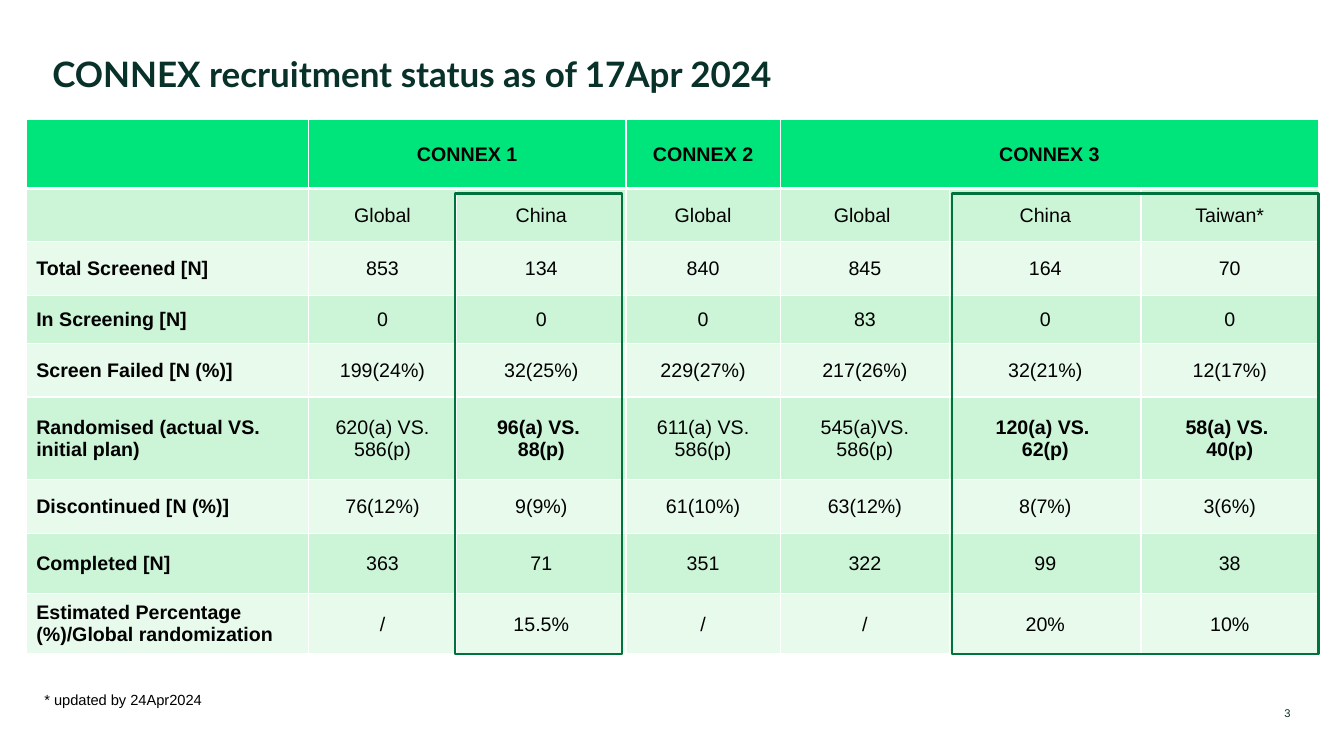
from dataclasses import dataclass
from lxml import etree
from pptx import Presentation
from pptx import util as u
from pptx.dml.color import RGBColor
from pptx.enum import shapes, text
from pptx.oxml.ns import qn


@dataclass(frozen=True)
class Theme:
    ink: str = "08312A"
    black: str = "000000"
    white: str = "FFFFFF"
    header: str = "00E47C"
    band_dark: str = "CCF5D7"
    band_light: str = "E7FAEC"
    outline: str = "00723E"
    title_font: str = "Lato"
    body_font: str = "Arial"
    title_size: float = 25
    table_size: float = 14
    note_size: float = 10.5
    number_size: float = 8


THEME = Theme()
WIDTH, HEIGHT = u.Inches(13.33), u.Inches(7.5)
COLUMNS = [21, 11.03, 12.6, 11.48, 12.6, 14.25, 13.2]
ROWS = [9.2, 7.07, 7.07, 6.4, 7.07, 10.93, 7.07, 8, 8]
STUDIES = [("", 0, 0), ("CONNEX 1", 1, 2), ("CONNEX 2", 3, 3), ("CONNEX 3", 4, 6)]
STATUS = [
    ["", "Global", "China", "Global", "Global ", "China", "Taiwan*"],
    ["Total Screened [N]", "853", "134", "840", "845", "164", "70"],
    ["In Screening [N]", "0", "0", "0", "83", "0", "0"],
    ["Screen Failed [N (%)]", "199(24%)", "32(25%)", "229(27%)", "217(26%)", "32(21%)", "12(17%)"],
    ["Randomised (actual VS. initial plan)", "620(a) VS. 586(p)", "96(a) VS. \n88(p)",
     "611(a) VS. 586(p)", "545(a)VS.\n586(p)", "120(a) VS. \n62(p)", "58(a) VS. \n40(p)"],
    ["Discontinued [N (%)]", "76(12%)", "9(9%)", "61(10%)", "63(12%)", "8(7%)", "3(6%)"],
    ["Completed [N]", "363", "71", "351", "322", "99", "38"],
    ["Estimated Percentage (%)/Global randomization", "/", "15.5%", "/", "/", "20%", "10%"],
]
RANDOMISED_ROW = 5
REGIONAL_COLUMNS = (2, 5, 6)
HIGHLIGHTS = [(2, 2, -0.15, -0.3), (5, 6, 0.2, 0)]


def across(share):
    return round(WIDTH * share / 100)


def down(share):
    return round(HEIGHT * share / 100)


def place(box):
    left, top, width, height = box
    return across(left), down(top), across(width), down(height)


def write(frame, wording, size, color, font=THEME.body_font, bold=False,
          align=text.PP_ALIGN.LEFT, spacing=None):
    for index, line in enumerate(wording.split("\n")):
        paragraph = frame.add_paragraph() if index else frame.paragraphs[0]
        paragraph.alignment = align
        if spacing:
            paragraph.line_spacing = spacing
        run = paragraph.add_run()
        run.text = line
        run.font.size = u.Pt(size)
        run.font.name = font
        run.font.bold = bold
        run.font.color.rgb = RGBColor.from_string(color)


def add_label(slide, box, wording, size, color, anchor=text.MSO_ANCHOR.TOP, wrap=True, **style):
    frame = slide.shapes.add_textbox(*place(box)).text_frame
    frame.margin_left = frame.margin_right = frame.margin_top = frame.margin_bottom = 0
    frame.vertical_anchor = anchor
    frame.word_wrap = wrap
    write(frame, wording, size, color, **style)


def set_borders(cell, top, bottom):
    properties = cell._tc.get_or_add_tcPr()
    for side, points in (("L", 1), ("R", 1), ("T", top), ("B", bottom)):
        border = etree.SubElement(properties, qn(f"a:ln{side}"), w=str(u.Pt(points)))
        fill = etree.SubElement(border, qn("a:solidFill"))
        etree.SubElement(fill, qn("a:srgbClr"), val=THEME.white)


def style_cell(cell, row, column):
    set_borders(cell, 3 if row == 1 else 1, 3 if row == 0 else 1)
    band = THEME.band_dark if row % 2 else THEME.band_light
    cell.fill.solid()
    cell.fill.fore_color.rgb = RGBColor.from_string(band if row else THEME.header)
    cell.vertical_anchor = text.MSO_ANCHOR.MIDDLE
    if column:
        cell.margin_left = cell.margin_right = cell.margin_top = u.Inches(0.01)
        cell.margin_bottom = 0


def fill_cell(cell, wording, row, column):
    if wording:
        bold = row == 0 or column == 0 or (row == RANDOMISED_ROW and column in REGIONAL_COLUMNS)
        align = text.PP_ALIGN.CENTER if column else text.PP_ALIGN.LEFT
        write(cell.text_frame, wording, THEME.table_size, THEME.black, bold=bold, align=align)


def add_status_table(slide, box):
    table = slide.shapes.add_table(len(ROWS), len(COLUMNS), *place(box)).table
    for column, share in zip(table.columns, COLUMNS):
        column.width = across(share)
    for row, share in zip(table.rows, ROWS):
        row.height = down(share)
    for row in range(len(ROWS)):
        for column in range(len(COLUMNS)):
            style_cell(table.cell(row, column), row, column)
    for study, first, last in STUDIES:
        if last > first:
            table.cell(0, first).merge(table.cell(0, last))
        fill_cell(table.cell(0, first), study, 0, first)
    for row, values in enumerate(STATUS, 1):
        for column, value in enumerate(values):
            fill_cell(table.cell(row, column), value, row, column)


def add_highlights(slide, box):
    left, top, _, height = box
    inset = ROWS[0] + 0.67
    for first, last, left_shift, right_shift in HIGHLIGHTS:
        start = left + sum(COLUMNS[:first]) + left_shift
        end = left + sum(COLUMNS[:last + 1]) + right_shift
        frame = slide.shapes.add_shape(
            shapes.MSO_SHAPE.RECTANGLE, *place((start, top + inset, end - start, height - inset)))
        frame.shadow.inherit = False
        frame.fill.background()
        frame.line.color.rgb = RGBColor.from_string(THEME.outline)
        frame.line.width = u.Pt(1.5)


def build_status_slide(deck):
    slide = deck.slides.add_slide(deck.slide_layouts[6])
    table_box = (1.95, 15.73, sum(COLUMNS), sum(ROWS))
    add_label(slide, (3.9, 6.93, 92.12, 10.53), "CONNEX recruitment status as of 17Apr 2024",
              THEME.title_size, THEME.ink, font=THEME.title_font, bold=True)
    add_label(slide, (93.7, 91.07, 2.33, 4.13), "3", THEME.number_size, THEME.ink,
              anchor=text.MSO_ANCHOR.BOTTOM, align=text.PP_ALIGN.RIGHT)
    add_status_table(slide, table_box)
    add_label(slide, (3.3, 90.4, 12.75, 3.07), "* updated by 24Apr2024",
              THEME.note_size, THEME.black, wrap=False, spacing=1.4)
    add_highlights(slide, table_box)


def main():
    deck = Presentation()
    deck.slide_width, deck.slide_height = WIDTH, HEIGHT
    build_status_slide(deck)
    deck.save("out.pptx")


if __name__ == "__main__":
    main()
